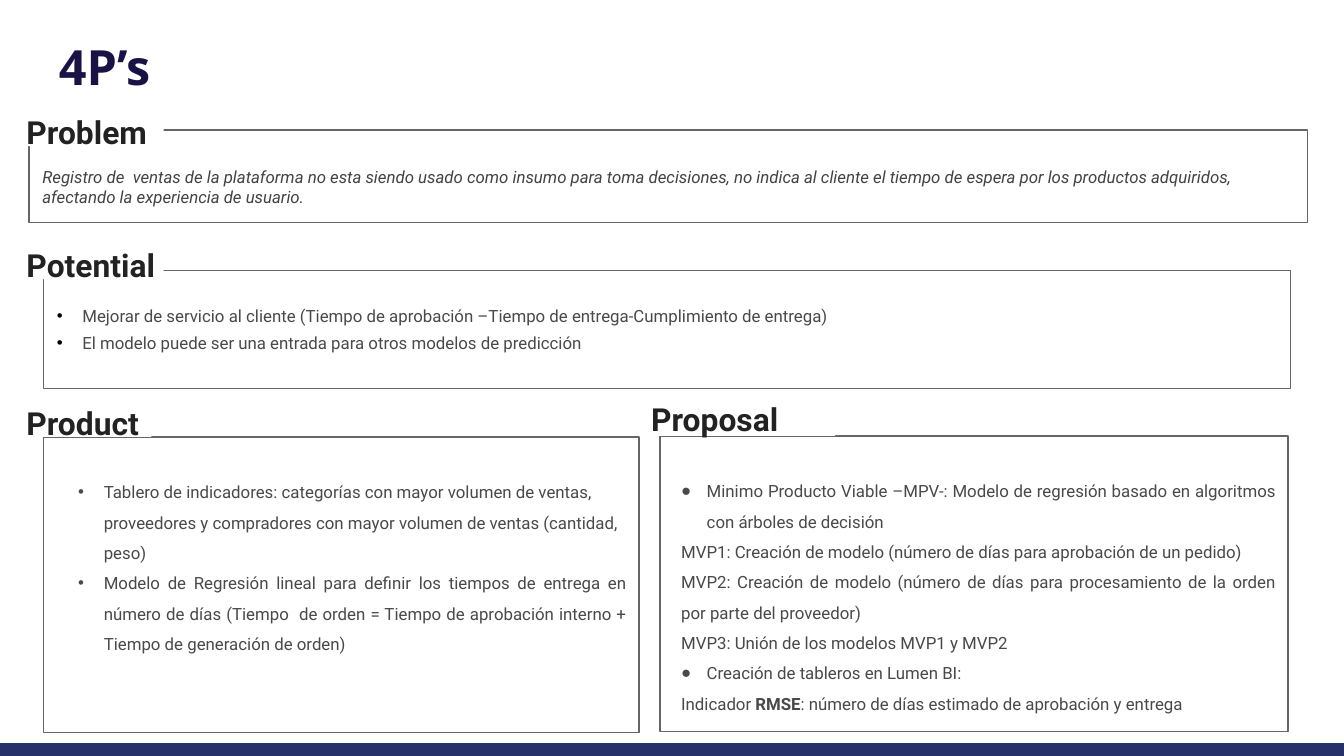
import pptx
import pptx.util
import pptx.dml.color
import pptx.enum.shapes
import pptx.enum.text
import pptx.oxml.ns
import lxml.etree

RGBColor = pptx.dml.color.RGBColor
Inches = pptx.util.Inches
ALIGN = pptx.enum.text.PP_ALIGN
ANCHOR = pptx.enum.text.MSO_ANCHOR

WHITE = RGBColor(0xFF, 0xFF, 0xFF)
BLACK = RGBColor(0x00, 0x00, 0x00)
NAVY = RGBColor(0x19, 0x13, 0x45)
FOOTER_BLUE = RGBColor(0x26, 0x31, 0x69)
HEADING_INK = RGBColor(0x22, 0x22, 0x22)
BODY_GRAY = RGBColor(0x49, 0x49, 0x49)
PROBLEM_GRAY = RGBColor(0x43, 0x43, 0x43)
FRAME_GRAY = RGBColor(0x66, 0x66, 0x66)

WIDTH = Inches(10)
HEIGHT = WIDTH * 9 // 16
COLUMN, ROW = WIDTH / 100, HEIGHT / 56.25


def place(box):
    left, top, width, height = box
    return [round(left * COLUMN), round(top * ROW), round(width * COLUMN), round(height * ROW)]


def add_rectangle(page, box, fill=None, line=None):
    shape = page.shapes.add_shape(pptx.enum.shapes.MSO_SHAPE.RECTANGLE, *place(box))
    shape.shadow.inherit = False
    if fill is None:
        shape.fill.background()
    else:
        shape.fill.solid()
        shape.fill.fore_color.rgb = fill
    if line is None:
        shape.line.fill.background()
    else:
        shape.line.color.rgb = line
        shape.line.width = pptx.util.Pt(0.75)
    return shape


def set_frame(shape, sides, top, anchor=ANCHOR.TOP):
    frame = shape.text_frame
    frame.word_wrap = True
    frame.vertical_anchor = anchor
    frame.margin_left = frame.margin_right = frame.margin_bottom = Inches(sides)
    frame.margin_top = Inches(top)
    return frame


def add_bullet(properties, mark, color):
    tag = pptx.oxml.ns.qn
    bullet_color = lxml.etree.SubElement(properties, tag("a:buClr"))
    lxml.etree.SubElement(bullet_color, tag("a:srgbClr"), val=str(color))
    lxml.etree.SubElement(properties, tag("a:buFont"), typeface="Arial")
    lxml.etree.SubElement(properties, tag("a:buChar"), char=mark)


def write(frame, text, size=9, font="Roboto", color=BODY_GRAY, bold=False, italic=False,
          align=ALIGN.LEFT, spacing=1.0, after=0, margin=0, hanging=0,
          bullet=None, bullet_color=BODY_GRAY):
    para = frame.paragraphs[0]
    if para.runs:
        para = frame.add_paragraph()
    para.alignment = align
    para.line_spacing = spacing
    para.space_after = pptx.util.Pt(after)
    properties = para._p.get_or_add_pPr()
    properties.set("marL", str(Inches(margin)))
    properties.set("indent", str(Inches(-hanging)))
    if bullet:
        add_bullet(properties, bullet, bullet_color)
    for position, part in enumerate(text.split("*")):
        span = para.add_run()
        span.text = part
        span.font.name = font
        span.font.size = pptx.util.Pt(size)
        span.font.color.rgb = color
        span.font.bold = bold or position % 2 == 1
        span.font.italic = italic


def add_title(page, box, text):
    shape = page.shapes.add_textbox(*place(box))
    write(set_frame(shape, 0.1, 0.1), text, size=26, font="Open Sans", color=NAVY, bold=True)


def add_panel(page, box, heading, heading_box, items, anchor=ANCHOR.TOP):
    left, top = box[:2]
    shift, rise, width, height = heading_box
    frame = set_frame(add_rectangle(page, box, line=FRAME_GRAY), 0.1, 0.26, anchor)
    for text, style in items:
        write(frame, text, **style)
    label = add_rectangle(page, (left - shift, top - rise, width, height), fill=WHITE)
    write(set_frame(label, 0.03, 0.03), heading, size=17, color=HEADING_INK, bold=True)


def add_footer(page, box):
    add_rectangle(page, box, fill=FOOTER_BLUE)


def main():
    deck = pptx.Presentation()
    deck.slide_width, deck.slide_height = WIDTH, HEIGHT
    page = deck.slides.add_slide(deck.slide_layouts[6])

    statement = dict(color=PROBLEM_GRAY, italic=True, after=4)
    benefit = dict(bullet="•", bullet_color=BLACK, margin=0.19, hanging=0.19, after=4)
    feature = dict(bullet="•", margin=0.35, hanging=0.19, spacing=1.5)
    stage = dict(margin=0.06, spacing=1.5, align=ALIGN.JUSTIFY)
    goal = dict(stage, bullet="●", margin=0.25, hanging=0.19)

    add_title(page, (3.4, 1.75, 65.8, 6.4), "4P’s")
    add_panel(page, (2.17, 9.66, 95.1, 6.9), "Problem", (0.5, 1.58, 10.5, 2.8), [
        ("Registro de  ventas de la plataforma no esta siendo usado como insumo para toma "
         "decisiones, no indica al cliente el tiempo de espera por los productos adquiridos, "
         "afectando la experiencia de usuario.", statement),
    ], ANCHOR.MIDDLE)
    add_panel(page, (3.24, 20.12, 92.8, 8.8), "Potential", (1.57, 2.15, 10.5, 2.8), [
        ("Mejorar de servicio al cliente (Tiempo de aprobación –Tiempo de "
         "entrega-Cumplimiento de entrega)", benefit),
        ("El modelo puede ser una entrada para otros modelos de predicción", benefit),
    ])
    add_panel(page, (3.24, 32.52, 44.3, 22), "Product", (1.57, 2.8, 9.6, 2.8), [
        ("Tablero de indicadores: categorías con mayor volumen de ventas, proveedores y "
         "compradores con mayor volumen de ventas (cantidad, peso)", feature),
        ("Modelo de Regresión lineal para definir los tiempos de entrega en número de días "
         "(Tiempo  de orden = Tiempo de aprobación interno + Tiempo de generación de orden)",
         dict(feature, align=ALIGN.JUSTIFY)),
    ])
    add_panel(page, (49.1, 32.44, 46.75, 22), "Proposal", (0.95, 3, 14, 3), [
        ("Minimo Producto Viable –MPV-: Modelo de regresión basado en algoritmos con "
         "árboles de decisión", goal),
        ("MVP1: Creación de modelo (número de días para aprobación de un pedido)", stage),
        ("MVP2: Creación de modelo (número de días para procesamiento de la orden por "
         "parte del proveedor)", stage),
        ("MVP3: Unión de los modelos MVP1 y MVP2", stage),
        ("Creación de tableros en Lumen BI:", goal),
        ("Indicador *RMSE*: número de días estimado de aprobación y entrega", stage),
    ])
    add_footer(page, (0, 55.3, 100, 0.95))
    deck.save("out.pptx")


if __name__ == "__main__":
    main()
